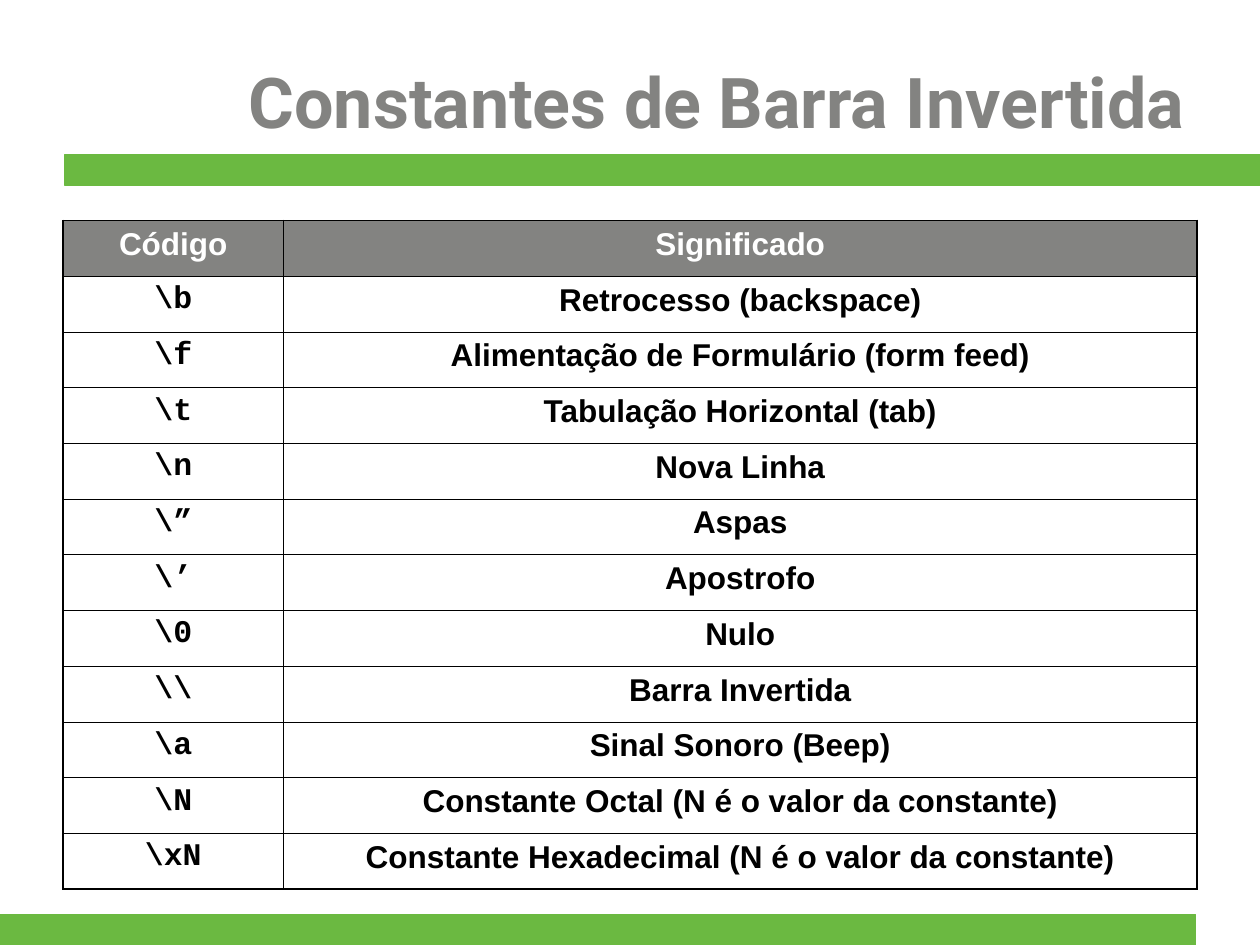
from typing import NamedTuple

from lxml import etree
from pptx import Presentation
from pptx.dml.color import RGBColor
from pptx.enum.shapes import MSO_SHAPE
from pptx.enum.text import MSO_ANCHOR, PP_ALIGN
from pptx.oxml.ns import qn
from pptx.util import Inches, Pt

RECT = MSO_SHAPE.RECTANGLE
MIDDLE = MSO_ANCHOR.MIDDLE
CENTER, RIGHT = PP_ALIGN.CENTER, PP_ALIGN.RIGHT

COLORS = {"green": "6BB941", "gray": "838381", "white": "FFFFFF", "black": "000000"}
OUTER, INNER = Pt(1.08), Pt(0.45)


class Bar(NamedTuple):
    left: float
    top: float
    width: float
    height: float


class Escape(NamedTuple):
    code: str
    meaning: str


BARS = [Bar(0.51, 1.23, 9.49, 0.24), Bar(0, 7.26, 9.49, 0.24)]
HEADER = Escape("Código", "Significado")
ESCAPES = [
    Escape(r"\b", "Retrocesso (backspace)"),
    Escape(r"\f", "Alimentação de Formulário (form feed)"),
    Escape(r"\t", "Tabulação Horizontal (tab)"),
    Escape(r"\n", "Nova Linha"),
    Escape(r"\”", "Aspas"),
    Escape(r"\’", "Apostrofo"),
    Escape(r"\0", "Nulo"),
    Escape(r"\\", "Barra Invertida"),
    Escape(r"\a", "Sinal Sonoro (Beep)"),
    Escape(r"\N", "Constante Octal (N é o valor da constante)"),
    Escape(r"\xN", "Constante Hexadecimal (N é o valor da constante)"),
]
COL_WIDTHS = [1.75, 7.25]


def rgb(name: str) -> RGBColor:
    return RGBColor.from_string(COLORS[name])


def write_text(tf, text: str, *, font="Arial", size=18, color="black",
               align=CENTER, before=0.0) -> None:
    p = tf.paragraphs[0]
    p.alignment = align
    p.space_before = Pt(before)
    r = p.add_run()
    r.text = text
    r.font.name = font
    r.font.size = Pt(size)
    r.font.bold = True
    r.font.color.rgb = rgb(color)


def draw_bar(s, bar: Bar) -> None:
    sp = s.shapes.add_shape(RECT, *map(Inches, bar))
    sp.shadow.inherit = False
    sp.fill.solid()
    sp.fill.fore_color.rgb = rgb("green")
    sp.line.color.rgb = rgb("green")
    sp.line.width = Pt(0.75)


def draw_title(s, text: str) -> None:
    sp = s.shapes.add_textbox(Inches(0.5), Inches(0.44), Inches(9), Inches(0.71))
    tf = sp.text_frame
    tf.word_wrap = True
    tf.vertical_anchor = MIDDLE
    write_text(tf, text, font="Roboto", size=40, color="gray", align=RIGHT)


def set_borders(cell, outer_sides: dict[str, bool]) -> None:
    tc_pr = cell._tc.get_or_add_tcPr()
    for side, is_outer in outer_sides.items():
        ln = etree.SubElement(tc_pr, qn(f"a:ln{side}"), w=str(OUTER if is_outer else INNER))
        fill = etree.SubElement(ln, qn("a:solidFill"))
        etree.SubElement(fill, qn("a:srgbClr"), val=COLORS["black"])


def draw_table(s, rows: list[Escape]) -> None:
    last_row, last_col = len(rows) - 1, len(COL_WIDTHS) - 1
    frame = s.shapes.add_table(len(rows), len(COL_WIDTHS), Inches(0.5), Inches(1.75),
                               Inches(sum(COL_WIDTHS)), Inches(5.31))
    table = frame.table
    table.first_row = table.horz_banding = False
    for column, width in zip(table.columns, COL_WIDTHS):
        column.width = Inches(width)
    for i, row in enumerate(rows):
        for j, text in enumerate(row):
            cell = table.cell(i, j)
            set_borders(cell, {"L": j == 0, "R": j == last_col,
                               "T": i == 0, "B": i == last_row})
            if i == 0:
                cell.fill.solid()
                cell.fill.fore_color.rgb = rgb("gray")
            else:
                cell.fill.background()
            write_text(cell.text_frame, text, before=4.5,
                       font="Courier New" if i and j == 0 else "Arial",
                       color="black" if i else "white")


def main() -> None:
    """Build the slide listing the backslash constants."""
    prs = Presentation()
    prs.slide_width, prs.slide_height = Inches(10), Inches(7.5)
    s = prs.slides.add_slide(prs.slide_layouts[6])
    for bar in BARS:
        draw_bar(s, bar)
    draw_title(s, "Constantes de Barra Invertida")
    draw_table(s, [HEADER, *ESCAPES])
    prs.save("out.pptx")


if __name__ == "__main__":
    main()
